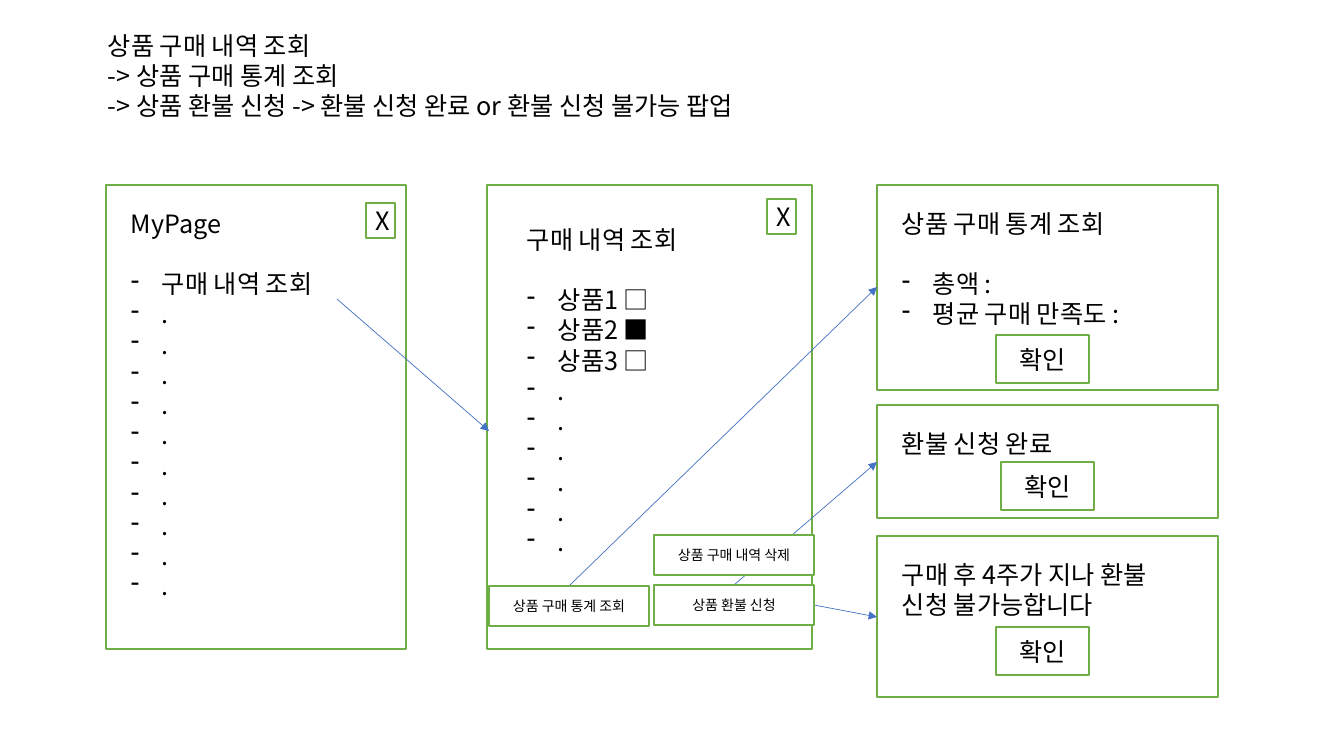
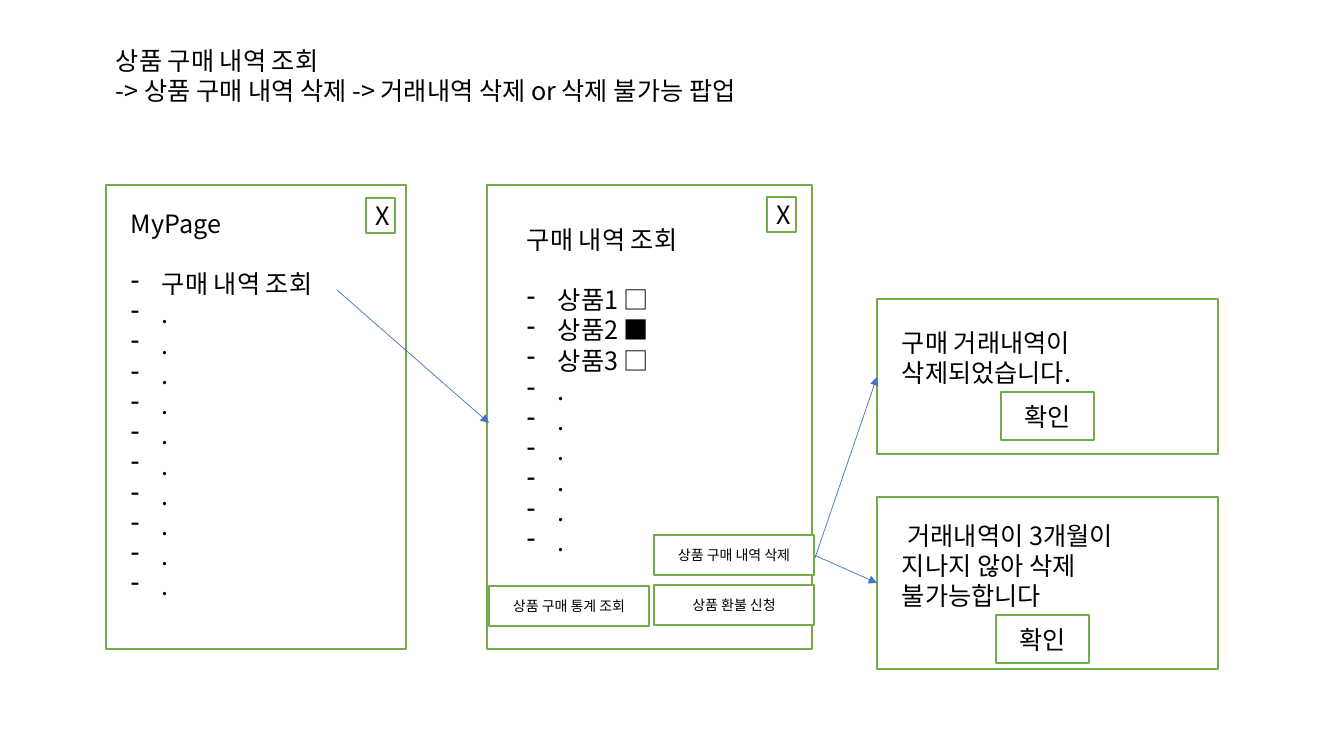
from lxml import etree
from pptx import Presentation
from pptx import util as u
from pptx.dml.color import RGBColor
from pptx.enum import shapes, text
from pptx.oxml import ns

# Shared style
COLORS = {"text": "000000", "paper": "FFFFFF", "frame": "70AD47", "arrow": "4472C4"}
FONT = "Noto Sans CJK KR"
BODY, SMALL = 18, 10
LEADING = 1.2
INDENT = 31
POPUP_X, POPUP_W = 877, 341


def px(pixels):
    return u.Emu(round(pixels * 914400 / 100.8))


def color(name):
    return RGBColor.from_string(COLORS[name])


def child(parent, tag, **attributes):
    return etree.SubElement(parent, ns.qn(tag), attributes)


def write(frame, lines, items=(), size=BODY, align=text.PP_ALIGN.LEFT):
    """Write plain lines, then dashed items set one line lower."""
    frame.word_wrap = True
    for index, line in enumerate([*lines, *items]):
        paragraph = frame.paragraphs[0] if index == 0 else frame.add_paragraph()
        paragraph.alignment = align
        paragraph.line_spacing = u.Pt(size * LEADING)
        run = paragraph.add_run()
        run.text = line
        run.font.size = u.Pt(size)
        run.font.name = FONT
        run.font.color.rgb = color("text")
        child(run.font._element, "a:ea", typeface=FONT)
        if items and index == len(lines) - 1:
            paragraph.space_after = u.Pt(size * LEADING)
        if index >= len(lines):
            properties = paragraph._p.get_or_add_pPr()
            properties.set("marL", str(px(INDENT)))
            properties.set("indent", str(-px(INDENT)))
            child(properties, "a:buChar", char="-")


class Deck:
    def __init__(self):
        self.file = Presentation()
        self.file.slide_width, self.file.slide_height = px(1344), px(756)
        self.slide = None

    # Basic elements
    def new_slide(self):
        self.slide = self.file.slides.add_slide(self.file.slide_layouts[6])

    def box(self, x, y, width, height):
        frame = self.slide.shapes.add_shape(
            shapes.MSO_SHAPE.RECTANGLE, px(x), px(y), px(width), px(height))
        frame.shadow.inherit = False
        frame.fill.solid()
        frame.fill.fore_color.rgb = color("paper")
        frame.line.color.rgb = color("frame")
        frame.line.width = u.Pt(1)
        return frame

    def label(self, x, y, width, height, lines, items=()):
        area = self.slide.shapes.add_textbox(px(x), px(y), px(width), px(height))
        write(area.text_frame, lines, items)
        area.text_frame.auto_size = text.MSO_AUTO_SIZE.SHAPE_TO_FIT_TEXT

    def button(self, x, y, width, height, caption, size=BODY):
        frame = self.box(x, y, width, height).text_frame
        frame.vertical_anchor = text.MSO_ANCHOR.MIDDLE
        write(frame, [caption], size=size, align=text.PP_ALIGN.CENTER)

    def arrow(self, x1, y1, x2, y2):
        link = self.slide.shapes.add_connector(
            shapes.MSO_CONNECTOR.STRAIGHT, px(x1), px(y1), px(x2), px(y2))
        link.line.color.rgb = color("arrow")
        link.line.width = u.Pt(0.5)
        child(link.line._get_or_add_ln(), "a:tailEnd", type="triangle")
        child(link._element.spPr, "a:effectLst")

    # Parts of the screen flow
    def screens(self):
        self.box(106, 185, 300, 464)
        self.label(121, 203, 265, 407, ["MyPage"], ["구매 내역 조회"] + ["."] * 10)
        self.box(487, 185, 325, 464)
        self.label(517, 219, 265, 377, ["구매 내역 조회"],
                   ["상품1 □", "상품2 ■", "상품3 □"] + ["."] * 6)

    def popup(self, top, height, message, confirm, items=()):
        """message: top, width, height, line; confirm: left, top."""
        text_top, text_width, text_height, line = message
        self.box(POPUP_X, top, POPUP_W, height)
        self.label(POPUP_X + 15, text_top, text_width, text_height, [line], items)
        self.button(*confirm, 93, 48, "확인")

    def controls(self, mypage_close, history_close):
        for x, y, caption in [(489, 586, "상품 구매 통계 조회"),
                              (654, 585, "상품 환불 신청"),
                              (654, 535, "상품 구매 내역 삭제")]:
            self.button(x, y, 160, 40, caption, SMALL)
        for x, y in [(366, mypage_close), (767, history_close)]:
            self.button(x, y, 29, 35, "X")


deck = Deck()

# Statistics and refund flow
deck.new_slide()
deck.label(98, 25, 880, 102, [
    "상품 구매 내역 조회",
    "-> 상품 구매 통계 조회",
    "-> 상품 환불 신청 -> 환불 신청 완료 or 환불 신청 불가능 팝업"])
deck.screens()
deck.popup(185, 205, (203, 265, 132, "상품 구매 통계 조회"), (996, 335),
           ["총액 :", "평균 구매 만족도 :"])
deck.popup(405, 113, (423, 265, 40, "환불 신청 완료"), (1001, 462))
deck.popup(536, 161, (554, 300, 72, "구매 후 4주가 지나 환불 신청 불가능합니다"), (996, 627))
for ends in [(570, 585, POPUP_X, 287), (734, 585, POPUP_X, 462),
             (814, 605, POPUP_X, 617), (337, 299, 489, 431)]:
    deck.arrow(*ends)
deck.controls(203, 199)

# Deletion flow
deck.new_slide()
deck.label(106, 40, 880, 72, [
    "상품 구매 내역 조회",
    "-> 상품 구매 내역 삭제 -> 거래내역 삭제 or 삭제 불가능 팝업"])
deck.screens()
deck.popup(299, 155, (322, 265, 72, "구매 거래내역이 삭제되었습니다."), (1001, 392))
deck.popup(497, 172, (515, 300, 102, " 거래내역이 3개월이 지나지 않아 삭제 불가능합니다"),
           (996, 615))
for ends in [(815, 558, POPUP_X, 377), (814, 555, POPUP_X, 583), (337, 290, 489, 423)]:
    deck.arrow(*ends)
deck.controls(198, 197)

deck.file.save("out.pptx")
